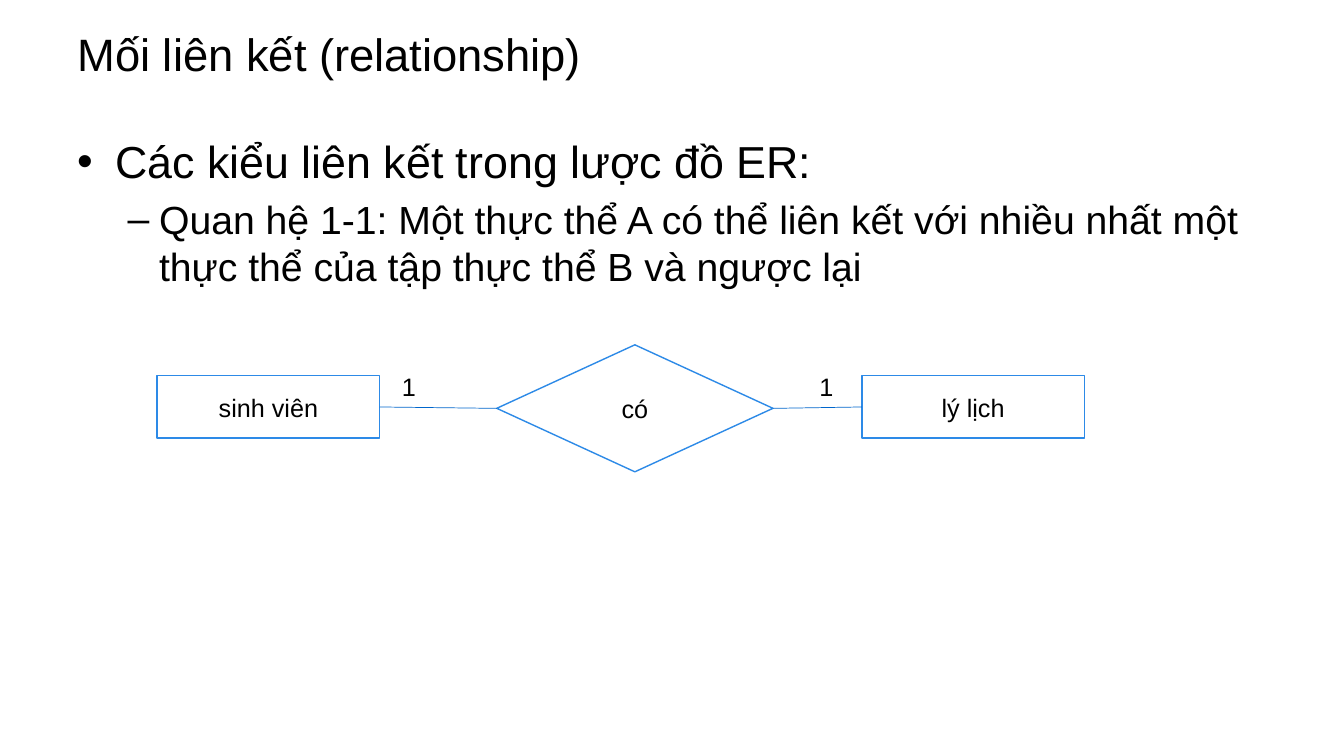
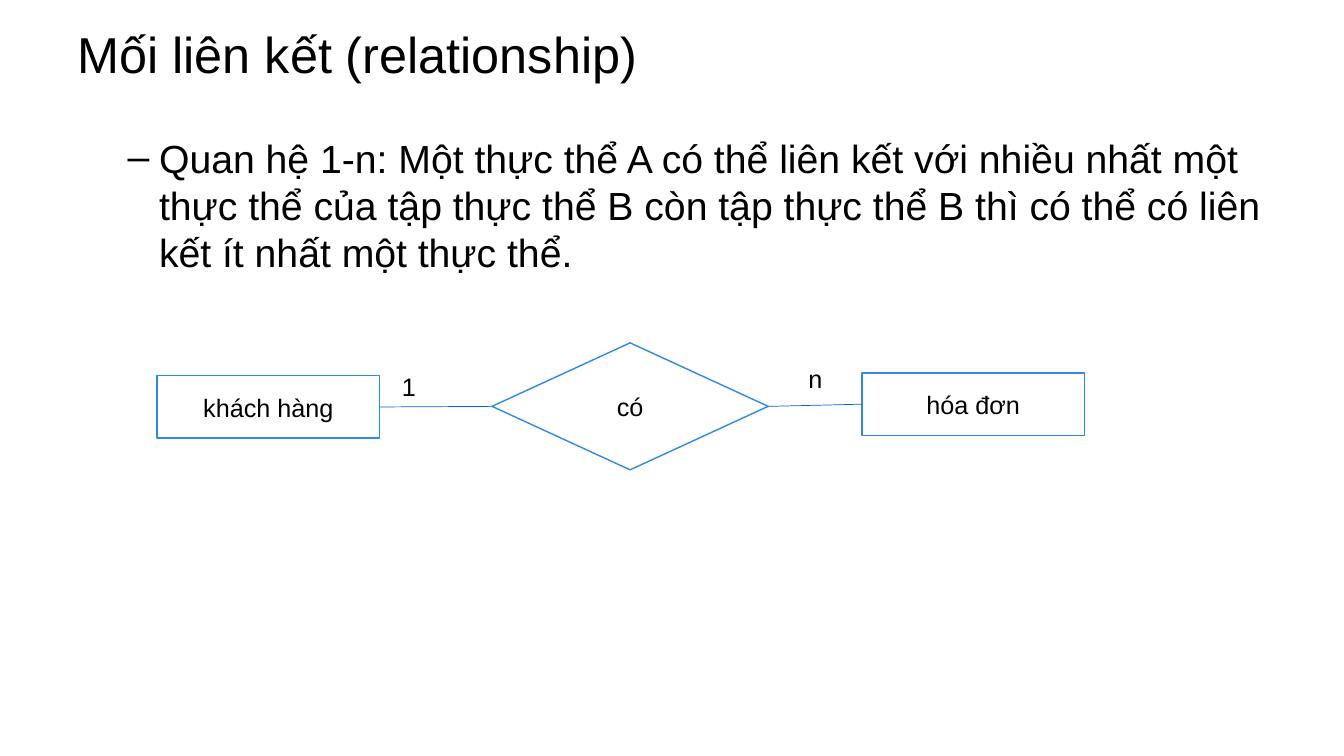
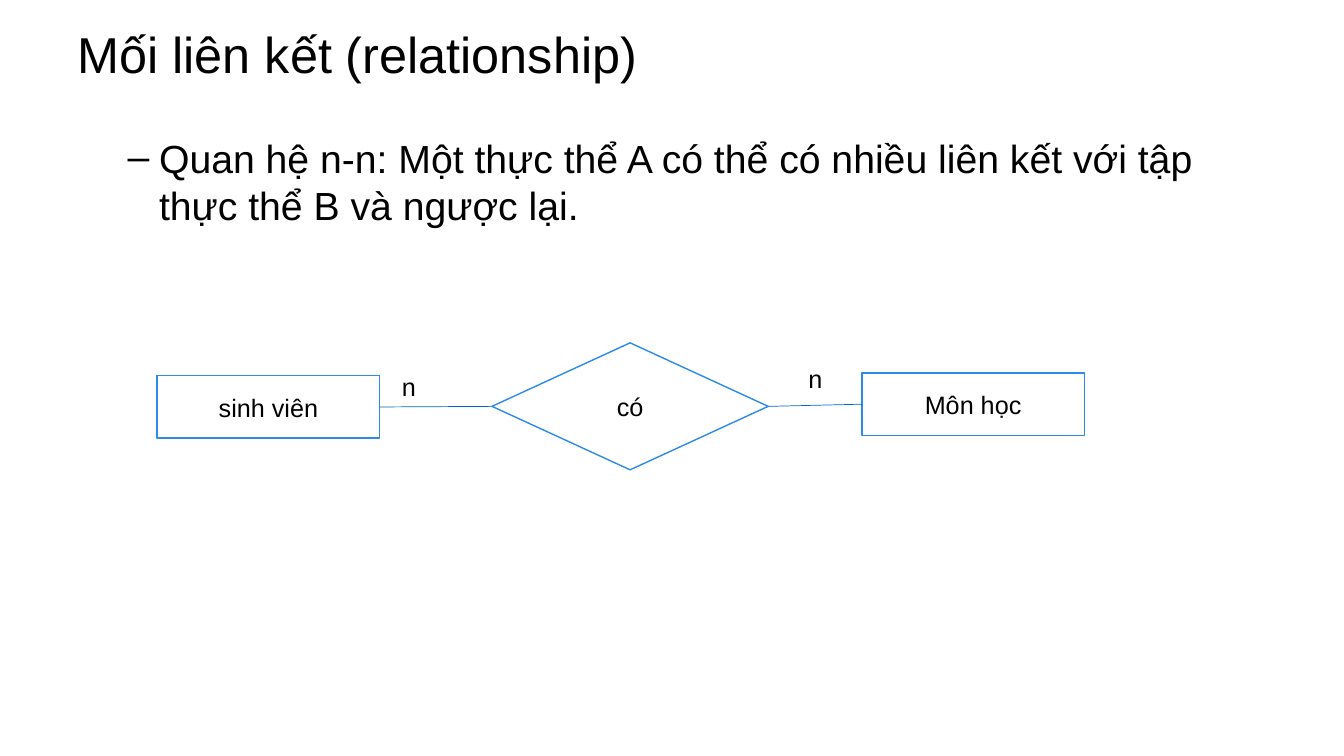
"""Slides on the three kinds of relationship in an ER diagram."""
from lxml import etree
from pptx import Presentation
from pptx.dml.color import RGBColor
from pptx.enum.shapes import MSO_CONNECTOR, MSO_SHAPE
from pptx.enum.text import MSO_ANCHOR, MSO_AUTO_SIZE, PP_ALIGN
from pptx.oxml.ns import qn
from pptx.util import Cm, Pt

RECTANGLE, DIAMOND = MSO_SHAPE.RECTANGLE, MSO_SHAPE.DIAMOND
STRAIGHT = MSO_CONNECTOR.STRAIGHT
TOP, MIDDLE = MSO_ANCHOR.TOP, MSO_ANCHOR.MIDDLE
LEFT, CENTER = PP_ALIGN.LEFT, PP_ALIGN.CENTER
FIT_SHAPE = MSO_AUTO_SIZE.SHAPE_TO_FIT_TEXT
LEFT_SIDE, RIGHT_SIDE = 1, 3

FONT = "Arial"
INK, PAPER, OUTLINE, LINK = "000000", "FFFFFF", "2D8AE7", "0066CC"
TITLE = "Mối liên kết (relationship)"
MARGIN, CONTENT_WIDTH = 1.7, 30.48
ENTITY_SIZE, DIAMOND_SIZE, LABEL_SIZE = (5.61, 1.57), (6.96, 3.2), (0.84, 1.02)
ENTITY_LEFT, ENTITY_RIGHT, ENTITY_TOP = 3.96, 21.72, 9.47
LABEL_LEFT, LABEL_TOP = 9.88, 9.22
BULLETS = [("•", 32, 0.95, 0.95), ("–", 28, 2.06, 0.79)]

LEVEL_DIAGRAM = {"diamond_at": (12.52, 8.69), "right_top": ENTITY_TOP,
                 "right_label_at": (20.4, LABEL_TOP)}
TILTED_DIAGRAM = {"diamond_at": (12.4, 8.64), "right_top": 9.4,
                  "right_label_at": (20.12, 9.02)}

RELATIONSHIPS = [
    {"title_size": 32.4,
     "points": [(0, "Các kiểu liên kết trong lược đồ ER:"),
                (1, "Quan hệ 1-1: Một thực thể A có thể liên kết với nhiều nhất "
                    "một thực thể của tập thực thể B và ngược lại")],
     "entities": ("sinh viên", "lý lịch"), "counts": ("1", "1"),
     "layout": LEVEL_DIAGRAM},
    {"title_size": 36,
     "points": [(1, "Quan hệ 1-n: Một thực thể A có thể liên kết với nhiều nhất "
                    "một thực thể của tập thực thể B còn tập thực thể B thì có "
                    "thể có liên kết ít nhất một thực thể.")],
     "entities": ("khách hàng", "hóa đơn"), "counts": ("1", "n"),
     "layout": TILTED_DIAGRAM},
    {"title_size": 36,
     "points": [(1, "Quan hệ n-n: Một thực thể A có thể có nhiều liên kết với tập "
                    "thực thể B và ngược lại.")],
     "entities": ("sinh viên", "Môn học"), "counts": ("n", "n"),
     "layout": TILTED_DIAGRAM},
]


def rgb(color):
    """Turn a hex string into a colour."""
    return RGBColor.from_string(color)


def write(paragraph, text, size=18, color=INK, align=LEFT):
    """Put formatted text into a paragraph."""
    paragraph.alignment = align
    run = paragraph.add_run()
    run.text = text
    run.font.name = FONT
    run.font.size = Pt(size)
    run.font.color.rgb = rgb(color)


def add_text_frame(slide, position, size, anchor=TOP, wrap=True):
    """Add a text box and return its empty frame."""
    frame = slide.shapes.add_textbox(*map(Cm, position + size)).text_frame
    frame.word_wrap = wrap
    frame.vertical_anchor = anchor
    return frame


def add_title(slide, size):
    """Add the title shared by all slides."""
    frame = add_text_frame(slide, (MARGIN, 0.53), (CONTENT_WIDTH, 1.63), anchor=MIDDLE)
    write(frame.paragraphs[0], TITLE, size=size)


def set_bullet(paragraph, mark, margin, hanging):
    """Give a paragraph its bullet, hanging indent and space before."""
    properties = paragraph._p.get_or_add_pPr()
    properties.set("marL", str(Cm(margin)))
    properties.set("indent", str(-Cm(hanging)))
    spacing = etree.SubElement(properties, qn("a:spcBef"))
    etree.SubElement(spacing, qn("a:spcPct")).set("val", "20000")
    etree.SubElement(properties, qn("a:buFont")).set("typeface", FONT)
    etree.SubElement(properties, qn("a:buChar")).set("char", mark)


def add_points(slide, points):
    """Add the bulleted body text."""
    frame = add_text_frame(slide, (MARGIN, 3.25), (CONTENT_WIDTH, 13.77))
    for index, (level, text) in enumerate(points):
        paragraph = frame.add_paragraph() if index else frame.paragraphs[0]
        mark, size, margin, hanging = BULLETS[level]
        paragraph.level = level
        set_bullet(paragraph, mark, margin, hanging)
        write(paragraph, text, size=size)


def add_node(slide, kind, text, position, size):
    """Add an outlined diagram node with centred text."""
    node = slide.shapes.add_shape(kind, *map(Cm, position + size))
    node.shadow.inherit = False
    node.fill.solid()
    node.fill.fore_color.rgb = rgb(PAPER)
    node.line.color.rgb = rgb(OUTLINE)
    node.line.width = Pt(1)
    node.text_frame.vertical_anchor = MIDDLE
    write(node.text_frame.paragraphs[0], text, align=CENTER)
    return node


def add_link(slide, start, end):
    """Join the right side of one node to the left side of the next."""
    link = slide.shapes.add_connector(STRAIGHT, 0, 0, 0, 0)
    link.begin_connect(start, RIGHT_SIDE)
    link.end_connect(end, LEFT_SIDE)
    link.line.color.rgb = rgb(LINK)
    link.line.width = Pt(0.5)
    etree.SubElement(link._element.spPr, qn("a:effectLst"))


def add_count(slide, text, position):
    """Add a cardinality label above a link."""
    frame = add_text_frame(slide, position, LABEL_SIZE, wrap=False)
    frame.auto_size = FIT_SHAPE
    write(frame.paragraphs[0], text)


def add_diagram(slide, entities, counts, diamond_at, right_top, right_label_at):
    """Draw two entities joined through a relationship diamond."""
    first = add_node(slide, RECTANGLE, entities[0], (ENTITY_LEFT, ENTITY_TOP), ENTITY_SIZE)
    relation = add_node(slide, DIAMOND, "có", diamond_at, DIAMOND_SIZE)
    second = add_node(slide, RECTANGLE, entities[1], (ENTITY_RIGHT, right_top), ENTITY_SIZE)
    add_link(slide, first, relation)
    add_link(slide, relation, second)
    add_count(slide, counts[0], (LABEL_LEFT, LABEL_TOP))
    add_count(slide, counts[1], right_label_at)


def main():
    """Build and save the presentation."""
    deck = Presentation()
    deck.slide_width, deck.slide_height = Cm(33.87), Cm(19.05)
    for relationship in RELATIONSHIPS:
        slide = deck.slides.add_slide(deck.slide_layouts[6])
        add_title(slide, relationship["title_size"])
        add_points(slide, relationship["points"])
        add_diagram(slide, relationship["entities"], relationship["counts"],
                    **relationship["layout"])
    deck.save("out.pptx")


if __name__ == "__main__":
    main()
